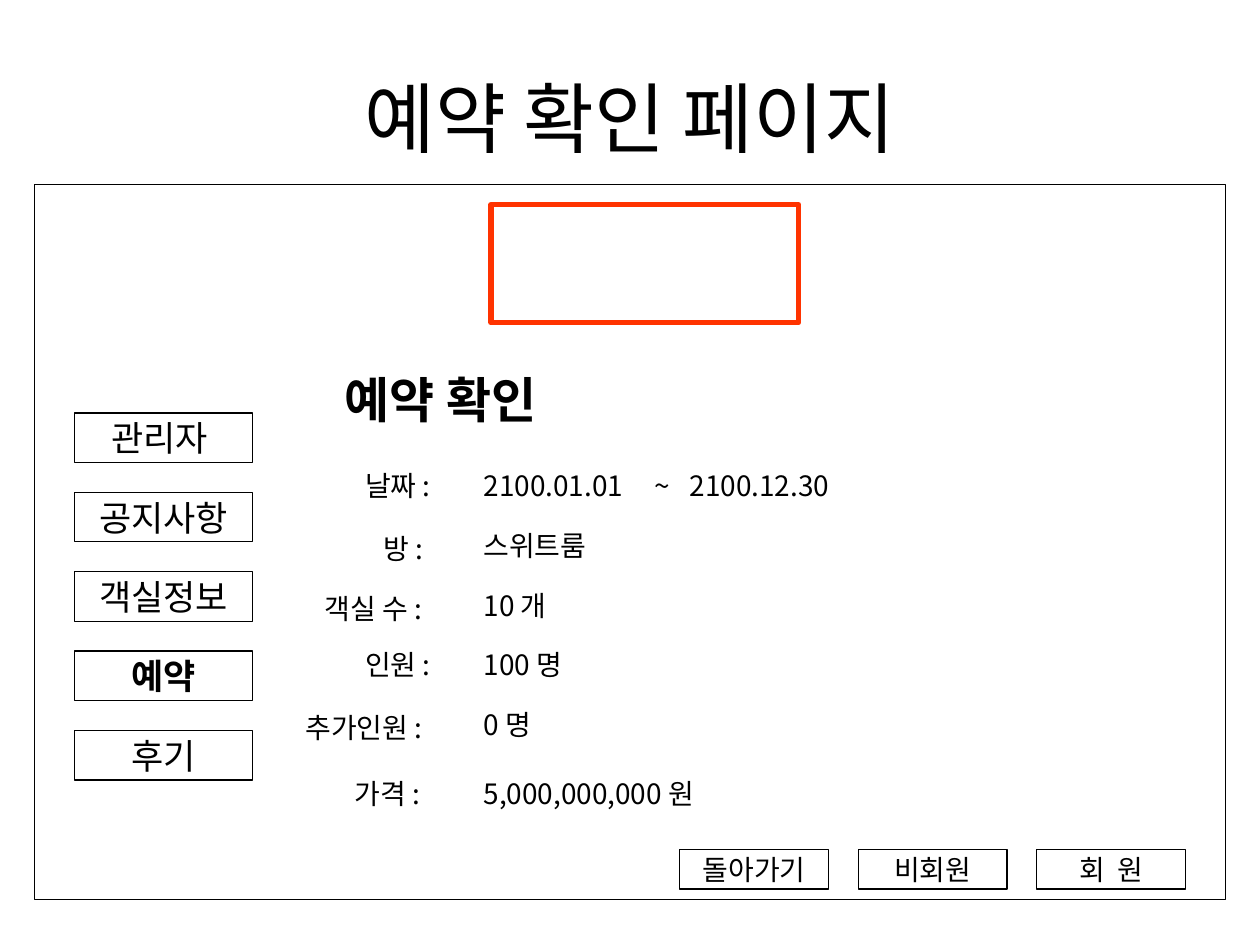
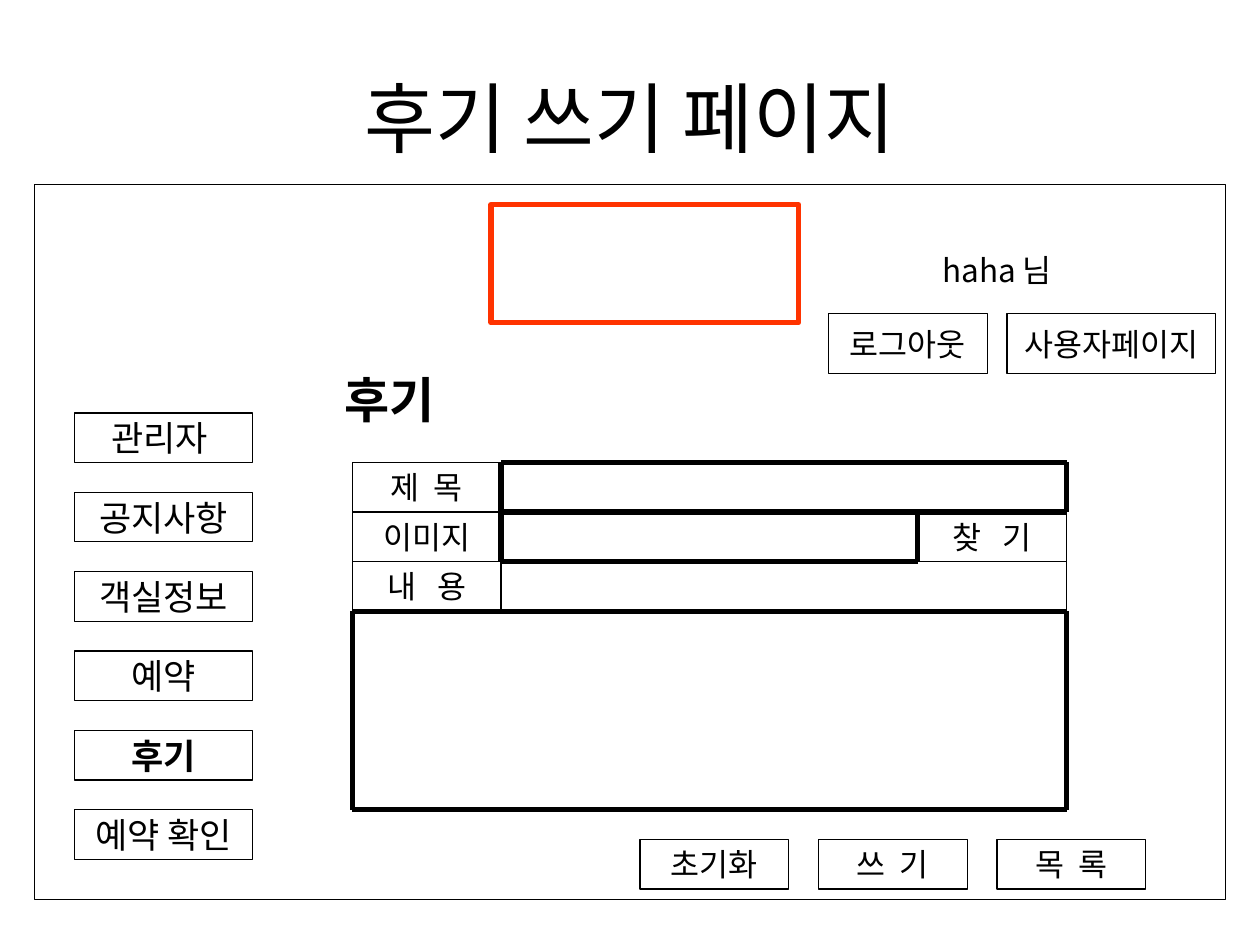
import pptx
import pptx.util
import pptx.dml.color
import pptx.enum.shapes
import pptx.enum.text
import pptx.oxml
import pptx.oxml.ns

Pt = pptx.util.Pt
Color = pptx.dml.color.RGBColor
Align = pptx.enum.text.PP_ALIGN
Anchor = pptx.enum.text.MSO_ANCHOR
Shape = pptx.enum.shapes.MSO_SHAPE
qn = pptx.oxml.ns.qn

BLACK = Color(0x00, 0x00, 0x00)
RED = Color(0xFF, 0x33, 0x00)
FONT = "Noto Sans CJK KR"

MENU = ["관리자 ", "공지사항", "객실정보", "예약", "후기"]
VALUE_X = 269.3


def write(frame, text, size=16, bold=False, color=BLACK, align=Align.LEFT,
          anchor=Anchor.TOP, wrap=True, spread=0):
    frame.word_wrap = wrap
    frame.vertical_anchor = anchor
    para = frame.paragraphs[0]
    para.alignment = align
    run = para.add_run()
    run.text = text
    run.font.size = Pt(size)
    run.font.bold = bold
    run.font.color.rgb = color
    run.font.name = FONT
    props = run._r.get_or_add_rPr()
    east = props.makeelement(qn("a:ea"), {"typeface": FONT})
    props.find(qn("a:latin")).addnext(east)
    if spread:
        props.set("spc", str(int(spread * 100)))


class Page:
    def __init__(self, deck):
        self.deck = deck
        self.slide = None

    def start(self, title, head, menu, active):
        self.slide = self.deck.slides.add_slide(self.deck.slide_layouts[6])
        self.text(title, 36, 21.6, 648, 90, size=44, align=Align.CENTER,
                  anchor=Anchor.MIDDLE)
        self.shape(19.8, 105.5, 680.4, 408.4)
        self.shape(280.6, 116.9, 175.7, 67.6, color=RED, width=3)
        for i, name in enumerate(menu):
            self.button(name, 42.5, 236 + 45.35 * i, 102, 28.35, size=20,
                        bold=name == active)
        self.text(head, 190, 207.5, 164.9, 41, size=28, bold=True)

    def text(self, text, x, y, w, h, **style):
        box = self.slide.shapes.add_textbox(Pt(x), Pt(y), Pt(w), Pt(h))
        write(box.text_frame, text, **style)

    def shape(self, x, y, w, h, color=BLACK, width=0.75):
        item = self.slide.shapes.add_shape(Shape.RECTANGLE, Pt(x), Pt(y),
                                           Pt(w), Pt(h))
        item.shadow.inherit = False
        item.fill.background()
        item.line.color.rgb = color
        item.line.width = Pt(width)
        return item

    def button(self, text, x, y, w, h, **style):
        item = self.shape(x, y, w, h)
        write(item.text_frame, text, align=Align.CENTER,
              anchor=Anchor.MIDDLE, wrap=False, **style)

    def line(self, x1, y1, x2, y2):
        item = self.slide.shapes.add_connector(
            pptx.enum.shapes.MSO_CONNECTOR.STRAIGHT,
            Pt(x1), Pt(y1), Pt(x2), Pt(y2))
        item.line.color.rgb = BLACK
        item.line.width = Pt(3)
        props = item._element.spPr
        props.append(props.makeelement(qn("a:effectLst"), {}))

    def field(self, x1, y1, x2, y2):
        for y in (y1, y2):
            self.line(x1, y, x2, y)
        for x in (x1, x2):
            self.line(x, y1, x, y2)


def booking(page):
    page.start("예약 확인 페이지", "예약 확인", MENU, "예약")
    labels = [("날짜 :", 201.5, 264.4), ("방 :", 212, 300),
              ("객실 수 :", 178.6, 334.4), ("인원 :", 201.5, 366.5),
              ("추가인원 :", 167.4, 402.5), ("가격 :", 195.6, 440)]
    for text, x, y in labels:
        page.text(text, x, y, 96, 26.6)
    values = [("2100.01.01", 264.4), ("스위트룸", 298.4), ("10 개", 332.5),
              ("100 명", 366.5), ("0 명", 400.5), ("5,000,000,000 원", 440)]
    for text, y in values:
        page.text(text, VALUE_X, y, 153, 26.6)
    page.text("~", 367, 264.4, 24, 26.6)
    page.text("2100.12.30", 387, 264.4, 102, 26.6)
    for i, (text, spread) in enumerate([("돌아가기", 0), ("비회원", 0), ("회 원", 1.8)]):
        page.button(text, 388.4 + 102 * i, 485.4, 85, 22.7, spread=spread)


def review(page):
    page.start("후기 쓰기 페이지", "후기", MENU + ["예약 확인"], "후기")
    left, top, right, base = 201.3, 264.2, 609.5, 462.6
    wide, row = 85, 28.35
    inner, find = left + wide, right - wide
    page.shape(left, top, right - left, base - top)
    for i, (text, spread) in enumerate([("제 목", 2), ("이미지", 0), ("내 용", 4)]):
        page.button(text, left, top + row * i, wide, row, size=18, spread=spread)
    page.button("찾 기", find, top + row, wide, row, size=18, spread=4)
    page.field(inner, top, right, top + row)
    page.field(inner, top + row, find, top + 2 * row)
    page.field(left, top + 3 * row, right, base)
    for i, (text, spread) in enumerate([("초기화", 0), ("쓰 기", 2), ("목 록", 2)]):
        page.button(text, 365.7 + 102 * i, 479.8, wide, row, size=18,
                    spread=spread)
    page.text("haha 님", 513.3, 139.7, 113, 29, size=18, align=Align.CENTER)
    page.button("로그아웃", 473.3, 179.3, 91, 34, size=18)
    page.button("사용자페이지", 575.5, 179.3, 119, 34, size=18)


def main():
    deck = pptx.Presentation()
    deck.slide_width = Pt(720)
    deck.slide_height = Pt(540)
    page = Page(deck)
    booking(page)
    review(page)
    deck.save("out.pptx")


if __name__ == "__main__":
    main()
